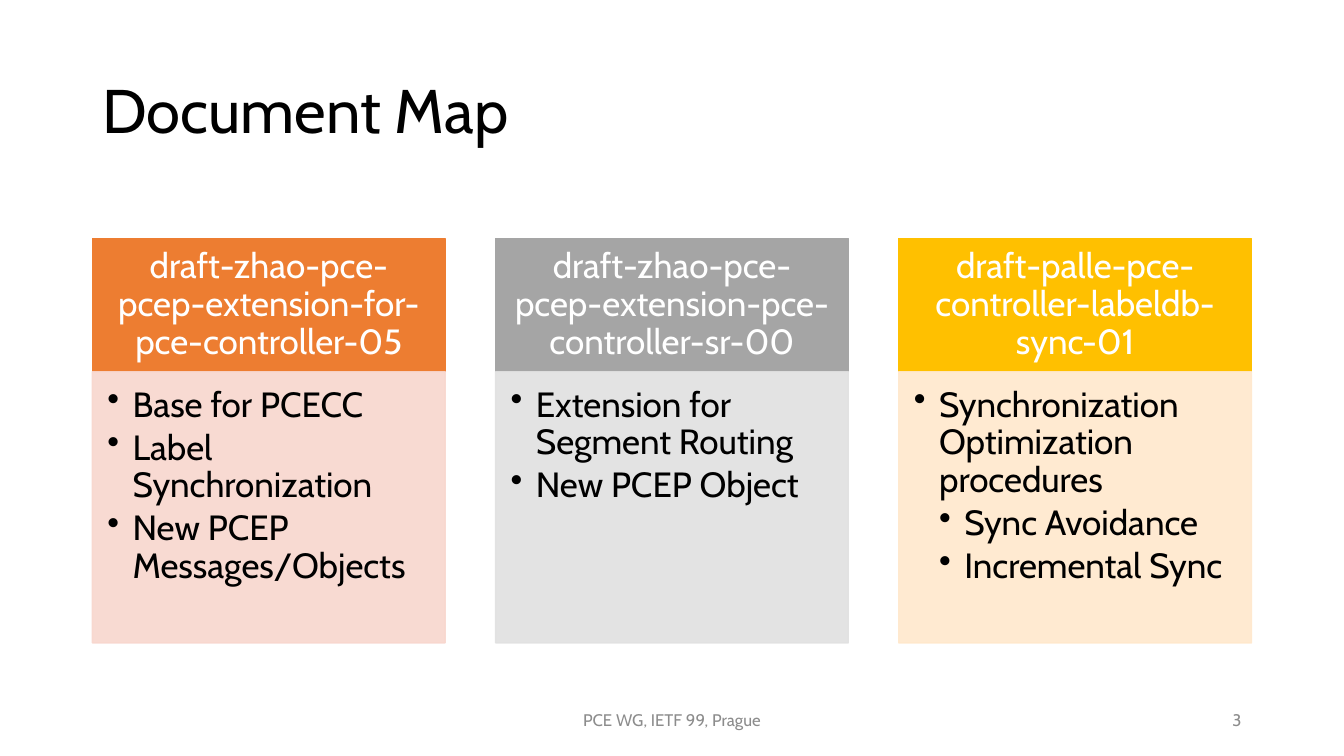
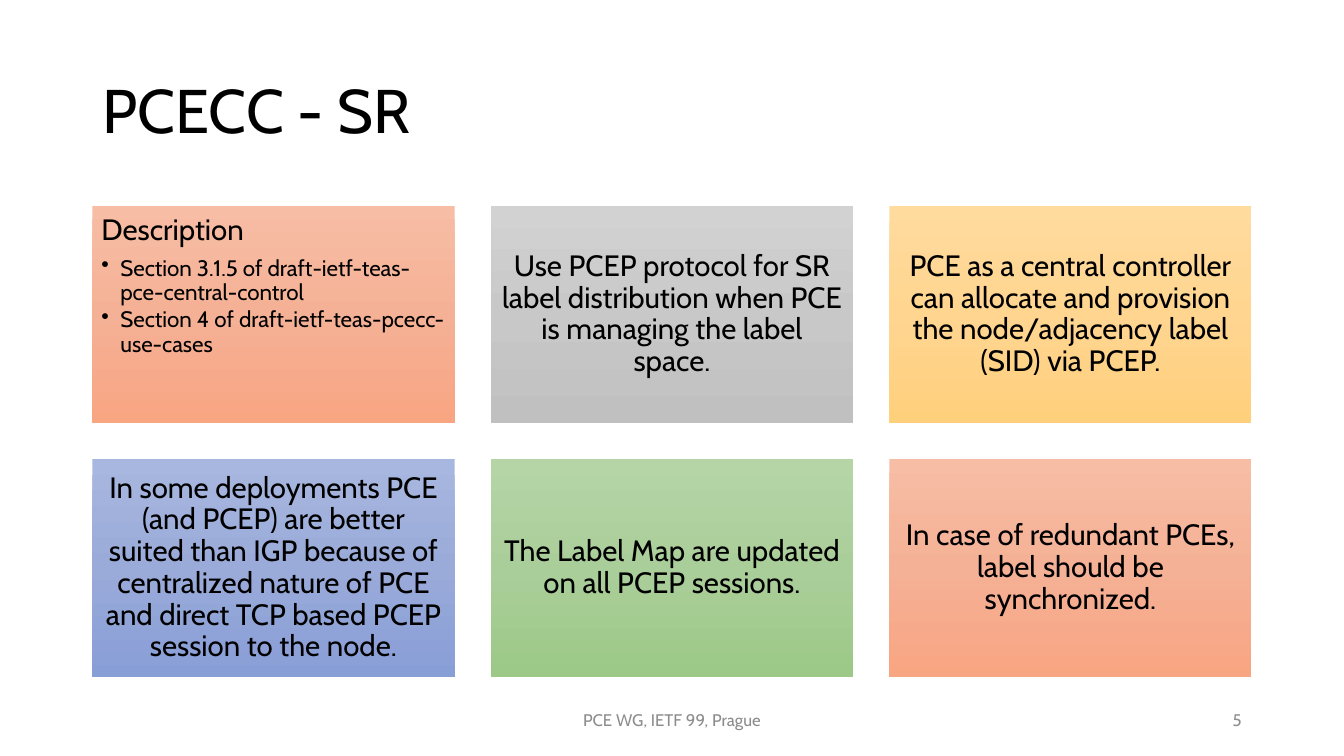
from copy import deepcopy

from lxml import etree
from pptx import Presentation
from pptx.dml.color import RGBColor
from pptx.enum.shapes import MSO_SHAPE
from pptx.enum.text import MSO_ANCHOR, PP_ALIGN
from pptx.oxml.ns import qn
from pptx.util import Pt

RECT = MSO_SHAPE.RECTANGLE
TOP, MIDDLE = MSO_ANCHOR.TOP, MSO_ANCHOR.MIDDLE
LEFT, CENTER, RIGHT = PP_ALIGN.LEFT, PP_ALIGN.CENTER, PP_ALIGN.RIGHT


class Theme:
    font = "Cabin"
    black, white, gray = "000000", "FFFFFF", "8C8C8C"
    title, head, card, item, foot = 44, 25, 21, 16, 12
    margin, width = 66, 828
    heads = ("ED7D31", "A5A5A5", "FFC000")
    bodies = ("F8D7CE", "E1E1E1", "FFE8CC")
    orange = ("F7BDA5", "F5B196", "F8A582")
    silver = ("D2D2D2", "C8C8C8", "C0C0C0")
    gold = ("FFDB9E", "FFD590", "FFD07C")
    blue = ("A8B7DF", "9AABD9", "889ED7")
    green = ("B5D5A7", "AACE9A", "9CC987")
    cards = (orange, silver, gold, blue, green, orange)


class Deck:
    def __init__(self, theme):
        self.theme = theme
        self.file = Presentation()
        self.file.slide_width, self.file.slide_height = Pt(960), Pt(540)
        self.slide = None

    def page(self, title, number):
        theme = self.theme
        self.slide = self.file.slides.add_slide(self.file.slide_layouts[6])
        self.label((theme.margin, 28.75, theme.width, 104.4), title,
                   theme.title, theme.black, LEFT)
        self.label((366, 500.5, 228, 28.75), "PCE WG, IETF 99, Prague",
                   theme.foot, theme.gray, CENTER)
        self.label((636, 500.5, 258, 28.75), str(number),
                   theme.foot, theme.gray, RIGHT)

    def label(self, place, words, size, color, align):
        box = self.slide.shapes.add_textbox(*map(Pt, place))
        self.text(box, [(0, words)], size, color, align)

    def block(self, place):
        shape = self.slide.shapes.add_shape(RECT, *map(Pt, place))
        shape.shadow.inherit = False
        return shape

    def solid(self, place, color, alpha=100):
        shape = self.block(place)
        shape.line.width = Pt(1)
        for fill in (shape.fill, shape.line.fill):
            fill.solid()
            fill.fore_color.rgb = RGBColor.from_string(color)
        if alpha < 100:
            for tone in shape.element.spPr.iter(qn("a:srgbClr")):
                etree.SubElement(tone, qn("a:alpha"), val=str(alpha * 1000))
        return shape

    def blend(self, place, colors):
        shape = self.block(place)
        shape.line.fill.background()
        shape.fill.gradient()
        shape.fill.gradient_angle = 270
        stops = next(shape.element.spPr.iter(qn("a:gsLst")))
        stops.append(deepcopy(stops[-1]))
        for index, (stop, color) in enumerate(zip(shape.fill.gradient_stops, colors)):
            stop.position = index / 2
            stop.color.rgb = RGBColor.from_string(color)
        return shape

    def text(self, shape, lines, size, color, align, anchor=MIDDLE,
             pads=(7.2, 3.6, 7.2, 3.6), small=None, step=0):
        frame = shape.text_frame
        frame.word_wrap = True
        frame.vertical_anchor = anchor
        frame.margin_left, frame.margin_top, frame.margin_right, frame.margin_bottom = map(Pt, pads)
        frame.text = "\n".join(words for level, words in lines)
        for part, (level, words) in zip(frame.paragraphs, lines):
            scale = small if level else size
            part.alignment = align
            part.line_spacing = 0.9
            part.space_after = Pt(round(scale * (0.15 if level else 0.35), 2))
            if level:
                self.bullet(part, level, step)
            for run in part.runs:
                run.font.name = self.theme.font
                run.font.size = Pt(scale)
                run.font.color.rgb = RGBColor.from_string(color)

    def bullet(self, part, level, step):
        part.level = level
        style = part._p.get_or_add_pPr()
        style.set("marL", str(Pt(step * level)))
        style.set("indent", str(-Pt(step)))
        etree.SubElement(style, qn("a:buChar"), char="•")

    def column(self, left, wide, colors, head, lines):
        theme = self.theme
        top = self.solid((left, 170.5, wide, 95), colors[0])
        self.text(top, [(0, head)], theme.head, theme.white, CENTER,
                  pads=(13.5, 8, 13.5, 8))
        body = self.solid((left, 265.5, wide, 193.7), colors[1], 90)
        self.text(body, lines, theme.head, theme.black, LEFT, TOP,
                  (10.8, 10.8, 13.5, 16), theme.head, 18)

    def card(self, place, colors, lines):
        theme = self.theme
        align, anchor = (LEFT, TOP) if len(lines) > 1 else (CENTER, MIDDLE)
        self.text(self.blend(place, colors), lines, theme.card, theme.black,
                  align, anchor, (6.5,) * 4, theme.item, 13.5)


COLUMNS = [
    ("draft-zhao-pce-pcep-extension-for-pce-controller-05",
     [(1, "Base for PCECC"), (1, "Label Synchronization"),
      (1, "New PCEP Messages/Objects")]),
    ("draft-zhao-pce-pcep-extension-pce-controller-sr-00",
     [(1, "Extension for Segment Routing"), (1, "New PCEP Object")]),
    ("draft-palle-pce-controller-labeldb-sync-01",
     [(1, "Synchronization Optimization procedures"),
      (2, "Sync Avoidance"), (2, "Incremental Sync")]),
]
CARDS = [
    [(0, "Description"),
     (1, "Section 3.1.5 of draft-ietf-teas-pce-central-control"),
     (1, "Section 4 of draft-ietf-teas-pcecc-use-cases")],
    [(0, "Use PCEP protocol for SR label distribution when PCE is managing "
         "the label space.")],
    [(0, "PCE as a central controller can allocate and provision the "
         "node/adjacency label (SID) via PCEP.")],
    [(0, "In some deployments PCE (and PCEP) are better suited than IGP because "
         "of centralized nature of PCE and direct TCP based PCEP session to "
         "the node.")],
    [(0, "The Label Map are updated on all PCEP sessions.")],
    [(0, "In case of redundant PCEs, label should be synchronized.")],
]

theme = Theme()
deck = Deck(theme)

deck.page("Document Map", 3)
wide, gap = 252, 36
for index, (head, lines) in enumerate(COLUMNS):
    colors = theme.heads[index], theme.bodies[index]
    deck.column(theme.margin + index * (wide + gap), wide, colors, head, lines)

deck.page("PCECC - SR", 5)
wide = theme.width / 3.2
high, gap = wide * 0.6, wide * 0.1
for index, (colors, lines) in enumerate(zip(theme.cards, CARDS)):
    row, col = divmod(index, 3)
    place = (theme.margin + col * (wide + gap), 147 + row * (high + gap), wide, high)
    deck.card(place, colors, lines)

deck.file.save("out.pptx")
